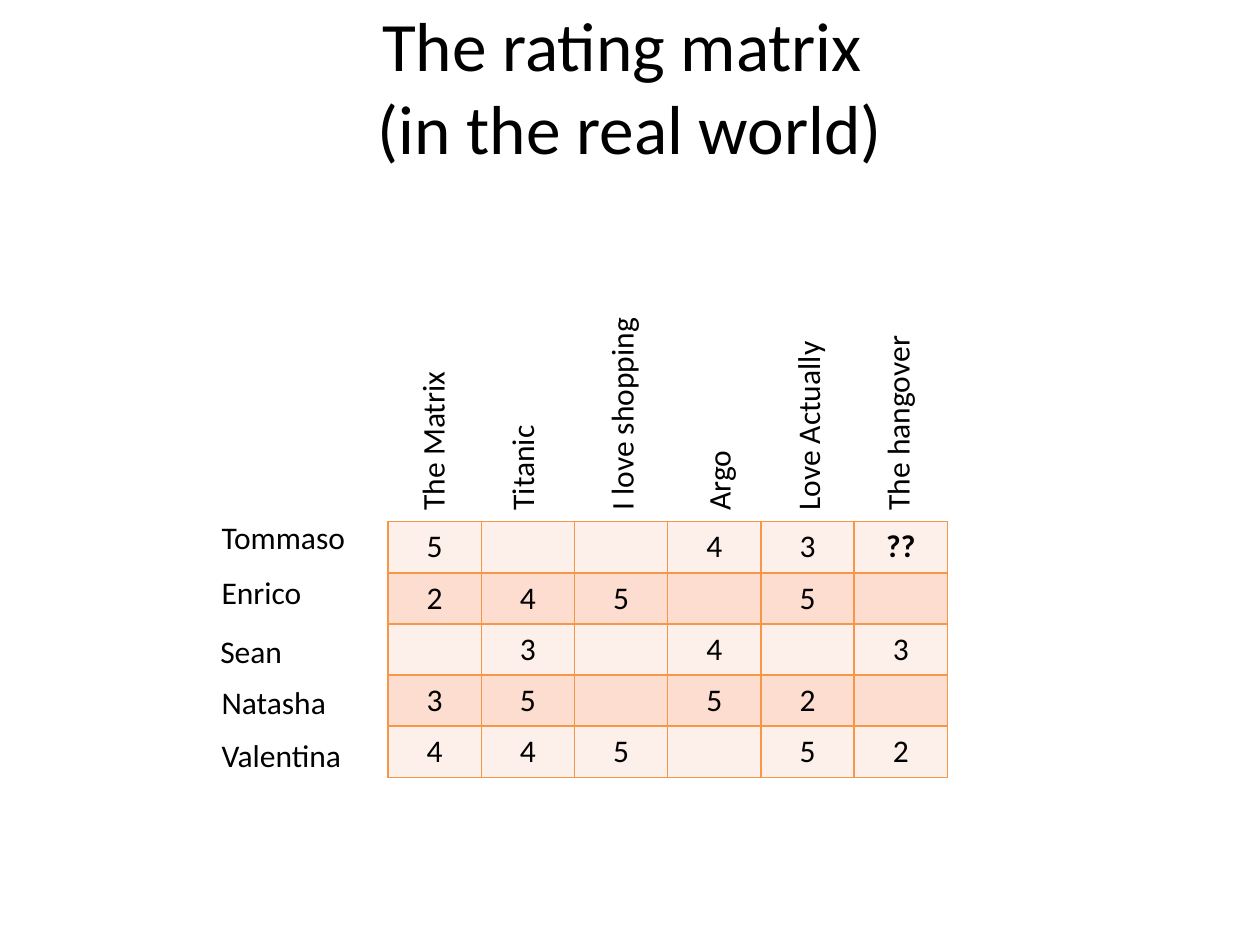
from dataclasses import dataclass

from lxml.etree import SubElement
from pptx import Presentation
from pptx.dml.color import RGBColor
from pptx.enum.text import MSO_ANCHOR, MSO_AUTO_SIZE, PP_ALIGN
from pptx.oxml.ns import qn
from pptx.util import Inches, Pt


@dataclass(frozen=True)
class Theme:
    """Colours, font and type sizes of the slide."""
    font: str = "Calibri"
    ink: str = "000000"
    line: str = "F79646"
    bands: tuple = ("FDEFE9", "FCDDCF")
    head: float = 39.6
    body: float = 18
    edge: float = 1


THEME = Theme()
TITLE = "The rating matrix \v(in the real world)"
FILMS = {"The Matrix": 0, "Titanic": 0.71, "I love shopping": 1.5,
         "Argo": 2.27, "Love Actually": 2.98, "The hangover": 3.69}
USERS = {"Tommaso": (0.01, 0), "Enrico": (0.01, 0.44), "Sean": (0, 0.91),
         "Natasha": (0.01, 1.31), "Valentina": (0.01, 1.73)}
SCORES = [["5", "", "", "4", "3", "??"],
          ["2", "4", "5", "", "5", ""],
          ["", "3", "", "4", "", "3"],
          ["3", "5", "", "5", "2", ""],
          ["4", "4", "5", "", "5", "2"]]


def put(item, values):
    """Set each attribute named in values on item."""
    for name, value in values.items():
        setattr(item, name, value)


def write(frame, text, size, align=PP_ALIGN.LEFT, bold=False):
    """Fill a text frame with one styled paragraph."""
    para = frame.paragraphs[0]
    para.text = text
    para.alignment = align
    for run in para.runs:
        put(run.font, {"name": THEME.font, "size": Pt(size), "bold": bold})
        run.font.color.rgb = RGBColor.from_string(THEME.ink)


def add_text(slide, box, text, size, align=PP_ALIGN.LEFT, turn=0, **form):
    """Place a wrapped text box, turned by the given degrees."""
    shape = slide.shapes.add_textbox(*map(Inches, box))
    shape.rotation = turn
    put(shape.text_frame, {"word_wrap": True, **form})
    write(shape.text_frame, text, size, align)


def add_title(slide, box):
    """Place the centred heading."""
    add_text(slide, box, TITLE, THEME.head, PP_ALIGN.CENTER,
             vertical_anchor=MSO_ANCHOR.MIDDLE, auto_size=MSO_AUTO_SIZE.NONE)


def add_films(slide, box):
    """Place the film names upright above the table columns."""
    left, top, wide, high = box
    for name, step in FILMS.items():
        spot = (left + step + (high - wide) / 2, top + (wide - high) / 2, wide, high)
        add_text(slide, spot, name, THEME.body, turn=270,
                 auto_size=MSO_AUTO_SIZE.SHAPE_TO_FIT_TEXT)


def add_users(slide, box):
    """Place the user names beside the table rows."""
    left, top, wide, high = box
    for name, (shift, step) in USERS.items():
        add_text(slide, (left + shift, top + step, wide, high), name, THEME.body,
                 auto_size=MSO_AUTO_SIZE.SHAPE_TO_FIT_TEXT)


def add_edges(cell):
    """Draw a line on all four sides of a table cell."""
    props = cell._tc.get_or_add_tcPr()
    for side in ("lnL", "lnR", "lnT", "lnB"):
        edge = SubElement(props, qn(f"a:{side}"), w=str(Pt(THEME.edge)))
        fill = SubElement(edge, qn("a:solidFill"))
        SubElement(fill, qn("a:srgbClr"), val=THEME.line)


def add_grid(slide, box):
    """Place the banded table of ratings."""
    shape = slide.shapes.add_table(len(SCORES), len(SCORES[0]), *map(Inches, box))
    table = shape.table
    put(table, {"first_row": False, "horz_banding": False})
    for row, scores in enumerate(SCORES):
        band = THEME.bands[row % len(THEME.bands)]
        for col, score in enumerate(scores):
            cell = table.cell(row, col)
            add_edges(cell)
            cell.fill.solid()
            cell.fill.fore_color.rgb = RGBColor.from_string(band)
            write(cell.text_frame, score, THEME.body, PP_ALIGN.CENTER, score == "??")


def main():
    """Build the slide and save it."""
    deck = Presentation()
    put(deck, {"slide_width": Inches(10), "slide_height": Inches(7.5)})
    slide = deck.slides.add_slide(deck.slide_layouts[6])
    add_title(slide, (0.5, 0.05, 9, 1.25))
    add_grid(slide, (3.08, 4.14, 4.44, 2.03))
    add_films(slide, (3.23, 2.18, 1.97, 0.4))
    add_users(slide, (1.65, 4.06, 1.42, 0.4))
    deck.save("out.pptx")


if __name__ == "__main__":
    main()
